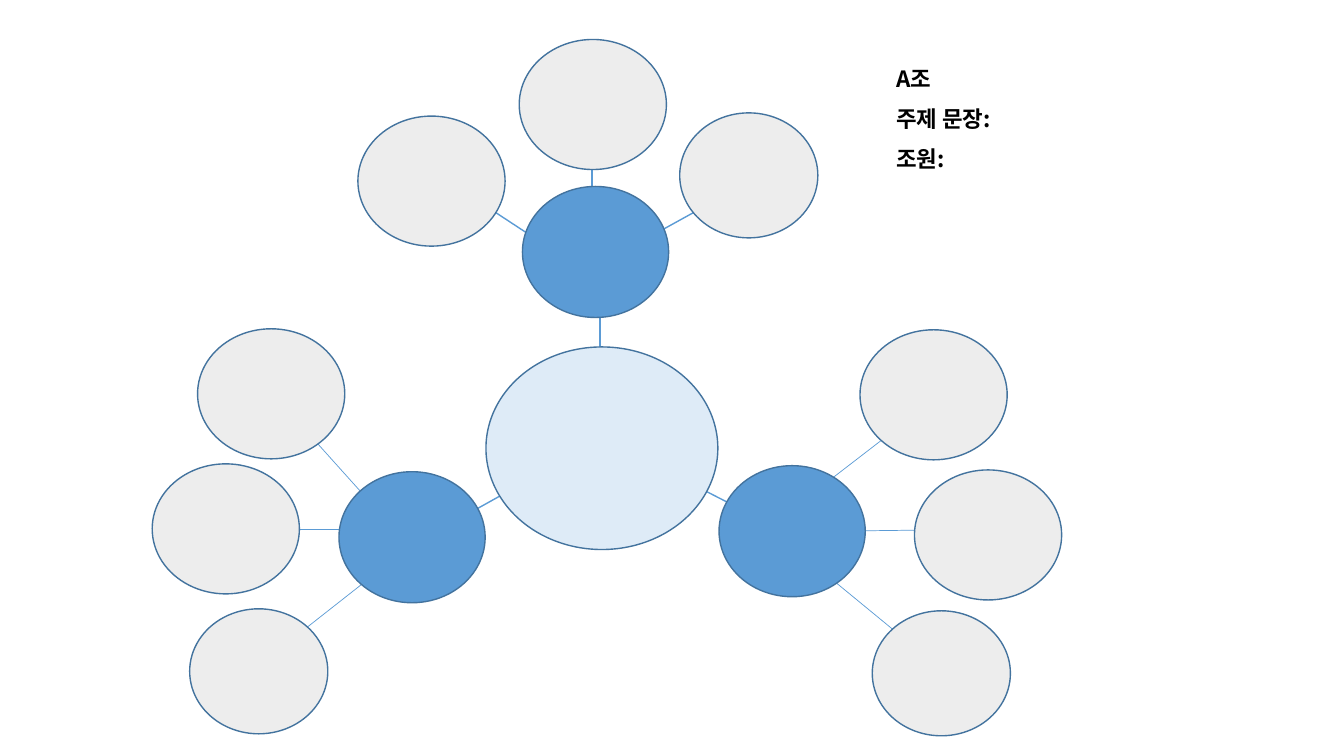
from lxml.etree import SubElement
from pptx import Presentation
from pptx.dml.color import RGBColor
from pptx.enum.shapes import MSO_CONNECTOR as LINK, MSO_SHAPE as SHAPE
from pptx.enum.text import MSO_AUTO_SIZE as FIT
from pptx.oxml.ns import qn
from pptx.util import Inches, Pt

CELL = 1 / 3  # grid square: 40 columns by 22.5 rows
FONT = "Noto Sans CJK KR"
BLUE, PALE, GREY, EDGE, BLACK = "5B9BD5", "DEEBF7", "EDEDED", "43739E", "000000"

# Bubble sizes in columns and rows
HUB, LEAF, SMALL = (4.35, 3.9), (4.38, 3.87), (4.11, 3.72)


def cells(*counts):
    return [Inches(count * CELL) for count in counts]


def paint(color_format, hex_color):
    color_format.rgb = RGBColor.from_string(hex_color)


def bubble(slide, center, size, color):
    (x, y), (w, h) = center, size
    oval = slide.shapes.add_shape(SHAPE.OVAL, *cells(x - w / 2, y - h / 2, w, h))
    oval.shadow.inherit = False
    oval.fill.solid()
    paint(oval.fill.fore_color, color)
    paint(oval.line.color, EDGE)
    oval.line.width = Pt(1)


def link(slide, start, end, weight):
    line = slide.shapes.add_connector(LINK.STRAIGHT, *cells(*start, *end))
    paint(line.line.color, BLUE)
    line.line.width = Pt(weight)
    SubElement(line._element.spPr, qn("a:effectLst"))


def add_branch(slide, box, hub, stem, leaves, weight):
    """Places a hub, its stem to the topic and its leaves inside the box."""
    def place(point):
        return box[0] + point[0], box[1] + point[1]

    link(slide, *map(place, stem), 1)
    for _, _, start, end in leaves:
        link(slide, place(start), place(end), weight)
    bubble(slide, place(hub), HUB, BLUE)
    for center, size, _, _ in leaves:
        bubble(slide, place(center), size, GREY)


def add_team_details(slide, box, details):
    frame = slide.shapes.add_textbox(*cells(*box)).text_frame
    frame.word_wrap = True
    frame.auto_size = FIT.SHAPE_TO_FIT_TEXT
    for index, detail in enumerate(details):
        paragraph = frame.add_paragraph() if index else frame.paragraphs[0]
        paragraph.line_spacing = 1.5
        run = paragraph.add_run()
        run.text = detail
        run.font.size, run.font.bold, run.font.name = Pt(16), True, FONT
        paint(run.font.color, BLACK)
        SubElement(run.font._element, qn("a:ea"), typeface=FONT)


# Leaves: center, size, link start at the hub, link end at the leaf
top_leaves = [
    ((2.19, 4.22), LEAF, (5.43, 6.03), (3.42, 4.71)),
    ((6.99, 1.94), LEAF, (6.96, 5.58), (6.96, 3.24)),
    ((11.63, 4.05), SMALL, (8.46, 6), (10.47, 4.89)),
]
left_leaves = [
    ((3.54, 1.94), LEAF, (6.21, 4.86), (4.89, 3.39)),
    ((2.19, 5.96), LEAF, (6.24, 5.97), (4.41, 5.97)),
    ((3.17, 10.2), SMALL, (6.87, 7.11), (4.62, 8.88)),
]
right_leaves = [
    ((6.39, 1.94), LEAF, (3, 4.71), (4.83, 3.3)),
    ((8.01, 6.11), LEAF, (3.33, 6), (5.82, 5.97)),
    ((6.62, 10.23), SMALL, (3.3, 7.38), (5.16, 8.91)),
]

deck = Presentation()
deck.slide_width, deck.slide_height = Inches(13.33), Inches(7.5)
mind_map = deck.slides.add_slide(deck.slide_layouts[6])

# Branches
add_branch(mind_map, (10.65, 1.17), (7.07, 6.33), ((7.2, 7.56), (7.2, 9.18)), top_leaves, 1)
add_branch(mind_map, (4.53, 9.78), (7.73, 6.21), ((10.89, 4.68), (8.52, 6)), left_leaves, 0.5)
add_branch(mind_map, (21.39, 9.81), (2.18, 6), ((-1.05, 4.47), (1.35, 5.7)), right_leaves, 0.5)

# Central topic, over the stem ends
bubble(mind_map, (17.91, 13.34), (6.9, 6.03), PALE)

# Team details
add_team_details(mind_map, (26.37, 1.38, 11.91, 3.78), ["A조", "주제 문장:", "조원:"])

deck.save("out.pptx")
